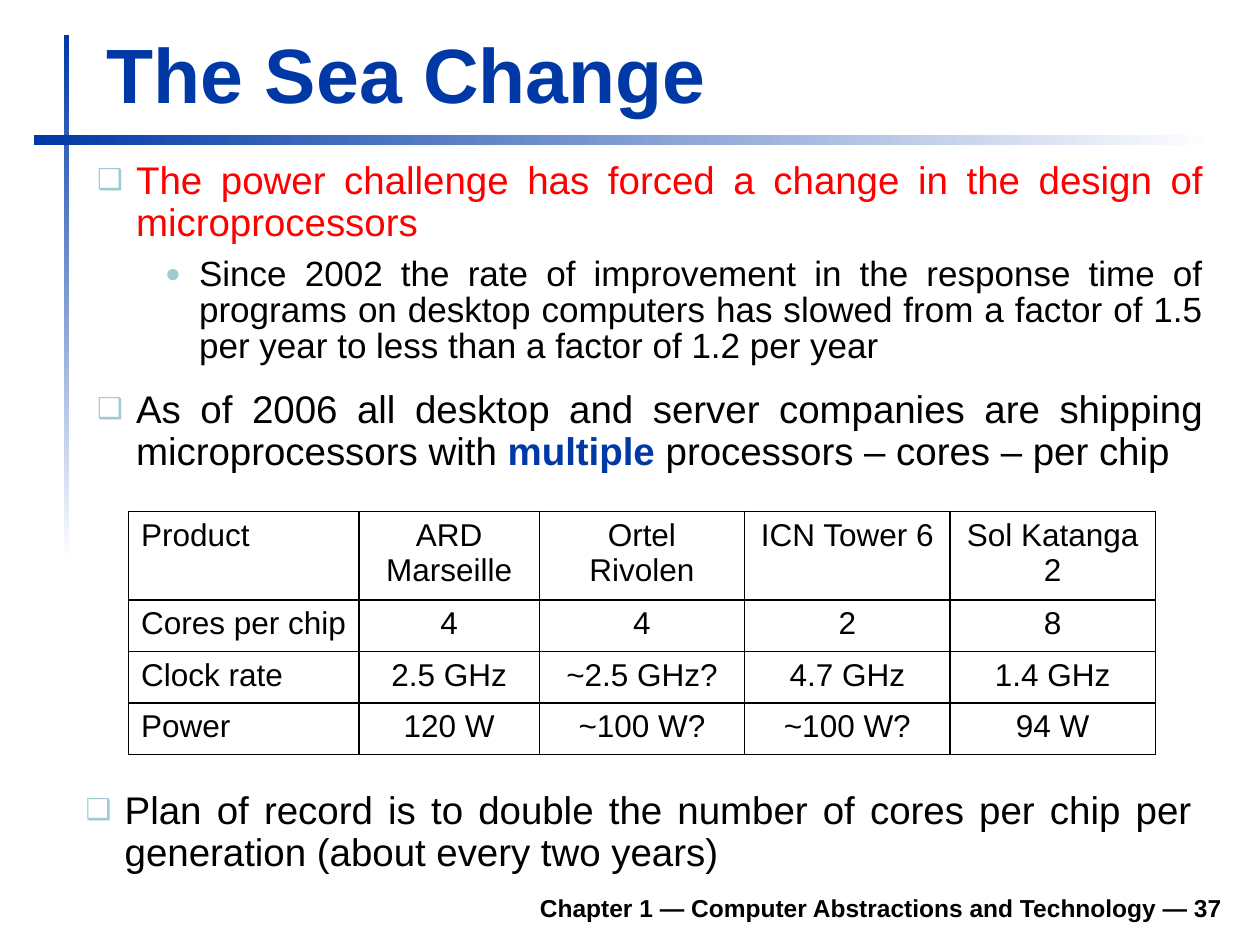
from lxml import etree
from pptx import Presentation
from pptx.dml.color import RGBColor
from pptx.enum import shapes, text
from pptx.oxml import ns
from pptx.util import Inches, Pt

COLORS = {"blue": "0039A6", "white": "FFFFFF", "black": "000000", "red": "FF0000", "bullet": "9FCAD3"}
ALIGN = text.PP_ALIGN
ANCHOR = text.MSO_ANCHOR


def add_run(p, words, size, color="black", bold=False):
    r = p.add_run()
    r.text = words
    r.font.name = "Arial"
    r.font.size = Pt(size)
    r.font.bold = bold
    r.font.color.rgb = RGBColor.from_string(COLORS[color])


def add_box(left, top, width, height, anchor, inset=(0.1, 0.05)):
    tf = s.shapes.add_textbox(Inches(left), Inches(top), Inches(width), Inches(height)).text_frame
    tf.word_wrap = True
    tf.vertical_anchor = anchor
    tf.margin_left = tf.margin_right = Inches(inset[0])
    tf.margin_top = tf.margin_bottom = Inches(inset[1])
    return tf


prs = Presentation()
prs.slide_width, prs.slide_height = Inches(10), Inches(7.5)
s = prs.slides.add_slide(prs.slide_layouts[6])

for left, top, width, height, angle in [(0.51, 0.28, 0.04, 4.17, 270), (0.27, 1.07, 9.37, 0.08, 0)]:
    sp = s.shapes.add_shape(shapes.MSO_SHAPE.RECTANGLE, Inches(left), Inches(top), Inches(width), Inches(height))
    sp.shadow.inherit = False
    sp.line.fill.background()
    sp.fill.gradient()
    sp.fill.gradient_angle = angle
    for stop, color in zip(sp.fill.gradient_stops, ("blue", "white")):
        stop.color.rgb = RGBColor.from_string(COLORS[color])

tf = add_box(0.75, 0.16, 9.03, 0.83, ANCHOR.BOTTOM)
add_run(tf.paragraphs[0], "The Sea Change", 44, "blue", True)

tf = add_box(1.85, 6.98, 7.95, 0.39, ANCHOR.BOTTOM)
tf.paragraphs[0].alignment = ALIGN.RIGHT
add_run(tf.paragraphs[0], "Chapter 1 — Computer Abstractions and Technology — 37", 14, bold=True)

LEVELS = [
    {"size": 22, "margin": 0.31, "hang": 0.31, "line": 0.9, "before": 14.3, "char": "❑"},
    {"size": 20, "margin": 0.81, "hang": 0.27, "line": 0.85, "before": 8, "char": "●"},
]
bodies = [
    (0.7, 1.25, 2.62, [
        (0, [("The power challenge has forced a change in the design of microprocessors", "red", False)]),
        (1, [("Since 2002 the rate of improvement in the response time of programs on desktop computers "
              "has slowed from a factor of 1.5 per year to less than a factor of 1.2 per year", "black", False)]),
        (0, [("As of 2006 all desktop and server companies are shipping microprocessors with ", "black", False),
             ("multiple", "blue", True),
             (" processors – cores – per chip", "black", False)]),
    ]),
    (0.61, 6.25, 0.72, [
        (0, [("Plan of record is to double the number of cores per chip per generation "
              "(about every two years)", "black", False)]),
    ]),
]
for left, top, height, items in bodies:
    tf = add_box(left, top, 8.92, height, ANCHOR.TOP, (0.07, 0.03))
    for i, (level, runs) in enumerate(items):
        look = LEVELS[level]
        p = tf.add_paragraph() if i else tf.paragraphs[0]
        p.level = level
        p.alignment = ALIGN.JUSTIFY
        pPr = p._p.get_or_add_pPr()
        pPr.set("marL", str(Inches(look["margin"])))
        pPr.set("indent", str(-Inches(look["hang"])))
        clr = etree.SubElement(pPr, ns.qn("a:buClr"))
        etree.SubElement(clr, ns.qn("a:srgbClr"), val=COLORS["bullet"])
        etree.SubElement(pPr, ns.qn("a:buSzPct"), val="75000")
        etree.SubElement(pPr, ns.qn("a:buFont"), typeface="Arial")
        etree.SubElement(pPr, ns.qn("a:buChar"), char=look["char"])
        p.line_spacing = look["line"]
        if i:
            p.space_before = Pt(look["before"])
        for words, color, bold in runs:
            add_run(p, words, look["size"], color, bold)

rows = [
    ["Product", "ARD Marseille", "Ortel Rivolen", "ICN Tower 6", "Sol Katanga 2"],
    ["Cores per chip", "4", "4", "2", "8"],
    ["Clock rate", "2.5 GHz", "~2.5 GHz?", "4.7 GHz", "1.4 GHz"],
    ["Power", "120 W", "~100 W?", "~100 W?", "94 W"],
]
widths = [1.83, 1.43, 1.63, 1.63, 1.63]
heights = [0.7, 0.41, 0.41, 0.41]
table = s.shapes.add_table(len(rows), len(widths), Inches(1.02), Inches(4.06),
                           Inches(sum(widths)), Inches(sum(heights))).table
table.first_row = table.horz_banding = False
for column, width in zip(table.columns, widths):
    column.width = Inches(width)
for i, values in enumerate(rows):
    table.rows[i].height = Inches(heights[i])
    for j, value in enumerate(values):
        cell = table.cell(i, j)
        p = cell.text_frame.paragraphs[0]
        p.alignment = ALIGN.CENTER if j else ALIGN.LEFT
        add_run(p, value, 18)
        tcPr = cell._tc.get_or_add_tcPr()
        for side in ("lnL", "lnR", "lnT", "lnB"):
            ln = etree.SubElement(tcPr, ns.qn("a:" + side), w=str(Pt(1)))
            solid = etree.SubElement(ln, ns.qn("a:solidFill"))
            etree.SubElement(solid, ns.qn("a:srgbClr"), val=COLORS["black"])
        cell.fill.background()

prs.save("out.pptx")
